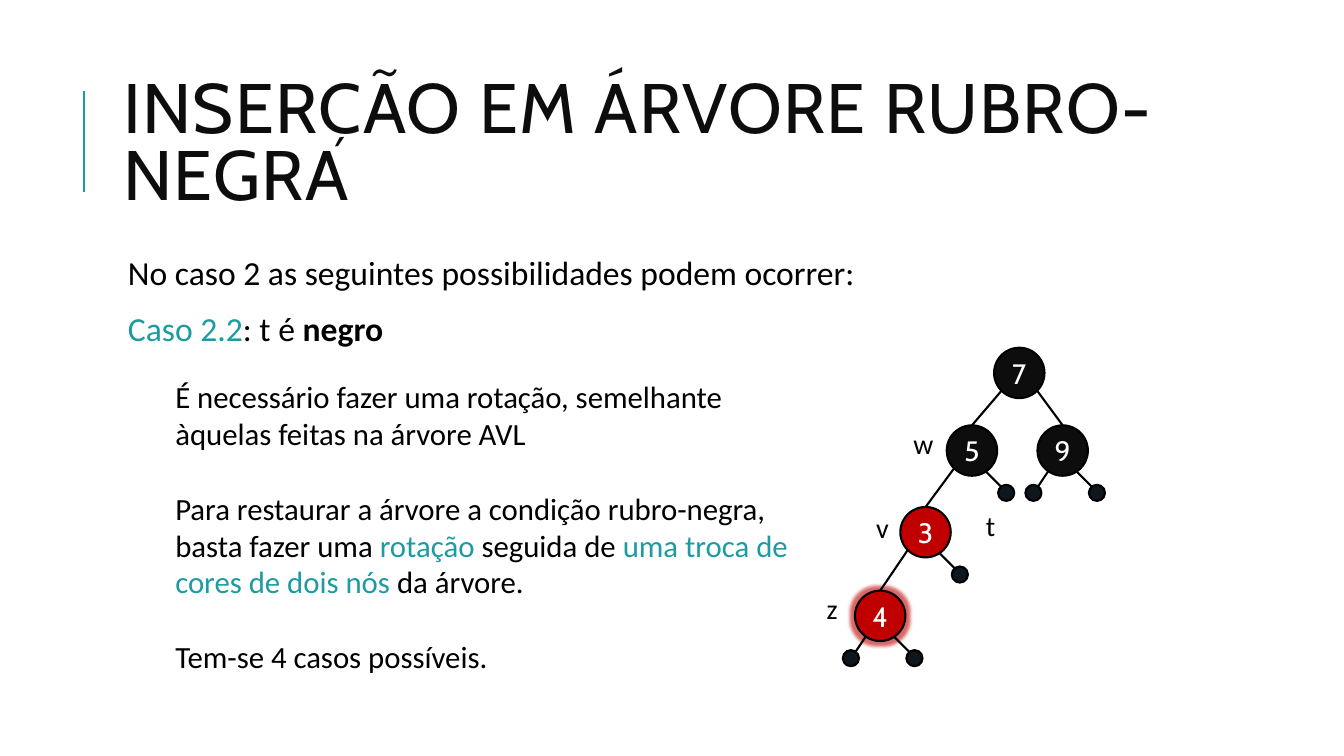
from lxml.etree import SubElement
from pptx import Presentation
from pptx.dml.color import RGBColor
from pptx.enum.shapes import MSO_CONNECTOR, MSO_SHAPE
from pptx.enum.text import MSO_ANCHOR, MSO_AUTO_SIZE, PP_ALIGN
from pptx.oxml.ns import qn
from pptx.util import Inches, Pt

BLACK = RGBColor(0x00, 0x00, 0x00)
WHITE = RGBColor(0xFF, 0xFF, 0xFF)
INK = RGBColor(0x0D, 0x0D, 0x0D)
LEAF = RGBColor(0x0D, 0x17, 0x1D)
RED = RGBColor(0xC0, 0x00, 0x00)
TEAL = RGBColor(0x1D, 0x9B, 0xA1)
HEAD, BODY = "Cabin", "Calibri"

NODE_D, LEAF_D = 0.5, 0.16
DIAGONAL = NODE_D / 2 * 0.71

# key: (centre x, centre y, fill)
NODES = {
    "7": (10.11, 3.70, INK),
    "9": (10.54, 4.47, INK),
    "5": (9.64, 4.47, INK),
    "3": (9.18, 5.28, RED),
    "4": (8.73, 6.11, RED),
}
EDGES = [("7", "5", -1), ("7", "9", 1), ("5", "3", -1), ("3", "4", -1)]
# offsets from the node centre: stub start, stub end, leaf centre
STUBS = {
    "left": ((-0.14, 0.20), (-0.24, 0.35), (-0.29, 0.42)),
    "right": ((0.14, 0.21), (0.29, 0.36), (0.34, 0.42)),
}
LEAVES = [("5", "right"), ("9", "left"), ("9", "right"),
          ("3", "right"), ("4", "left"), ("4", "right")]
LABELS = [("z", 8.10, 5.82, 0.32), ("v", 8.59, 5.02, 0.32),
          ("w", 8.96, 4.18, 0.39), ("t", 9.68, 5.00, 0.28)]

INTRO = [
    [("No caso 2 as seguintes possibilidades podem ocorrer:", BLACK, False)],
    [("Caso 2.2", TEAL, False), (": t é ", BLACK, False), ("negro", BLACK, True)],
]
DETAILS = [
    [("É necessário fazer uma rotação, semelhante àquelas feitas na árvore AVL", BLACK, False)],
    [("Para restaurar a árvore a condição rubro-negra, basta fazer uma ", BLACK, False),
     ("rotação", TEAL, False), (" seguida de ", BLACK, False),
     ("uma troca de cores de dois nós", TEAL, False), (" da árvore.", BLACK, False)],
    [("Tem-se 4 casos possíveis.", BLACK, False)],
]


class TreeSlide:
    def __init__(self, prs):
        self.s = prs.slides.add_slide(prs.slide_layouts[5])

    def run(self, p, text, size, color, font=BODY, bold=False):
        r = p.add_run()
        r.text = text
        r.font.name, r.font.size, r.font.bold = font, Pt(size), bold
        r.font.color.rgb = color
        return r

    def title(self, text, left, top, width, height):
        sp = self.s.shapes.title
        sp.left, sp.top = Inches(left), Inches(top)
        sp.width, sp.height = Inches(width), Inches(height)
        tf = sp.text_frame
        tf.word_wrap = True
        tf.auto_size = MSO_AUTO_SIZE.NONE
        tf.vertical_anchor = MSO_ANCHOR.MIDDLE
        p = tf.paragraphs[0]
        p.alignment = PP_ALIGN.LEFT
        p.line_spacing = 0.8
        r = self.run(p, text, 50, INK, HEAD)
        r.font._element.set("spc", "100")

    def text(self, paragraphs, left, top, width, height, size, wrap=True,
             before=0, after=0, spacing=1.0):
        sp = self.s.shapes.add_textbox(Inches(left), Inches(top), Inches(width), Inches(height))
        tf = sp.text_frame
        tf.word_wrap = wrap
        for i, runs in enumerate(paragraphs):
            p = tf.add_paragraph() if i else tf.paragraphs[0]
            p.line_spacing = spacing
            p.space_before = Pt(before if i else 0)
            p.space_after = Pt(after)
            for text, color, bold in runs:
                self.run(p, text, size, color, bold=bold)

    def line(self, start, end, color=BLACK, shapes=None):
        shapes = self.s.shapes if shapes is None else shapes
        c = shapes.add_connector(MSO_CONNECTOR.STRAIGHT, *map(Inches, (*start, *end)))
        c.line.color.rgb = color
        c.line.width = Pt(1.5)
        SubElement(c._element.spPr, qn("a:effectLst"))
        return c

    def circle(self, x, y, diameter, fill, shapes=None):
        """Add a circle centred on x, y."""
        shapes = self.s.shapes if shapes is None else shapes
        sp = shapes.add_shape(MSO_SHAPE.OVAL, Inches(x - diameter / 2), Inches(y - diameter / 2),
                              Inches(diameter), Inches(diameter))
        sp.shadow.inherit = False
        sp.fill.solid()
        sp.fill.fore_color.rgb = fill
        sp.line.color.rgb = BLACK
        sp.line.width = Pt(1.5)
        return sp

    def node(self, key, x, y, fill):
        sp = self.circle(x, y, NODE_D, fill)
        tf = sp.text_frame
        tf.margin_left = tf.margin_right = tf.margin_top = tf.margin_bottom = 0
        tf.vertical_anchor = MSO_ANCHOR.MIDDLE
        p = tf.paragraphs[0]
        p.alignment = PP_ALIGN.CENTER
        self.run(p, key, 20, WHITE, HEAD)
        return sp

    def glow(self, sp, color, radius, alpha):
        effects = sp._element.spPr.find(qn("a:effectLst"))
        glow = SubElement(effects, qn("a:glow"), rad=str(Pt(radius)))
        clr = SubElement(glow, qn("a:srgbClr"), val=str(color))
        SubElement(clr, qn("a:alpha"), val=str(alpha * 1000))

    def leaf(self, x, y, side):
        """Group a small leaf with its stub below the node centred on x, y."""
        start, end, centre = [(x + dx, y + dy) for dx, dy in STUBS[side]]
        group = self.s.shapes.add_group_shape()
        self.line(start, end, shapes=group.shapes)
        self.circle(*centre, LEAF_D, LEAF, shapes=group.shapes)


def main():
    prs = Presentation()
    prs.slide_width, prs.slide_height = Inches(13.33), Inches(7.5)
    slide = TreeSlide(prs)

    slide.line((0.83, 1.9), (0.83, 0.9), TEAL)
    slide.title("INSERÇÃO EM ÁRVORE RUBRO-NEGRA", 1.12, 0.64, 10.63, 1.64)
    slide.text(INTRO, 1.17, 2.5, 10.53, 1.1, 24, before=12, after=2, spacing=0.9)
    slide.text(DETAILS, 1.64, 3.7, 6.38, 3.06, 22, before=26.8)

    nodes = {key: slide.node(key, *place) for key, place in NODES.items()}
    slide.glow(nodes["4"], RED, radius=5, alpha=60)
    for parent, child, side in EDGES:
        x, y, _ = NODES[parent]
        child_x, child_y, _ = NODES[child]
        edge = slide.line((x + side * DIAGONAL, y + DIAGONAL), (child_x, child_y - NODE_D / 2))
        edge.end_connect(nodes[child], 0)
    for key, side in LEAVES:
        slide.leaf(*NODES[key][:2], side)
    for text, left, top, width in LABELS:
        slide.text([[(text, BLACK, False)]], left, top, width, 0.44, 20, wrap=False)

    prs.save("out.pptx")


if __name__ == "__main__":
    main()
